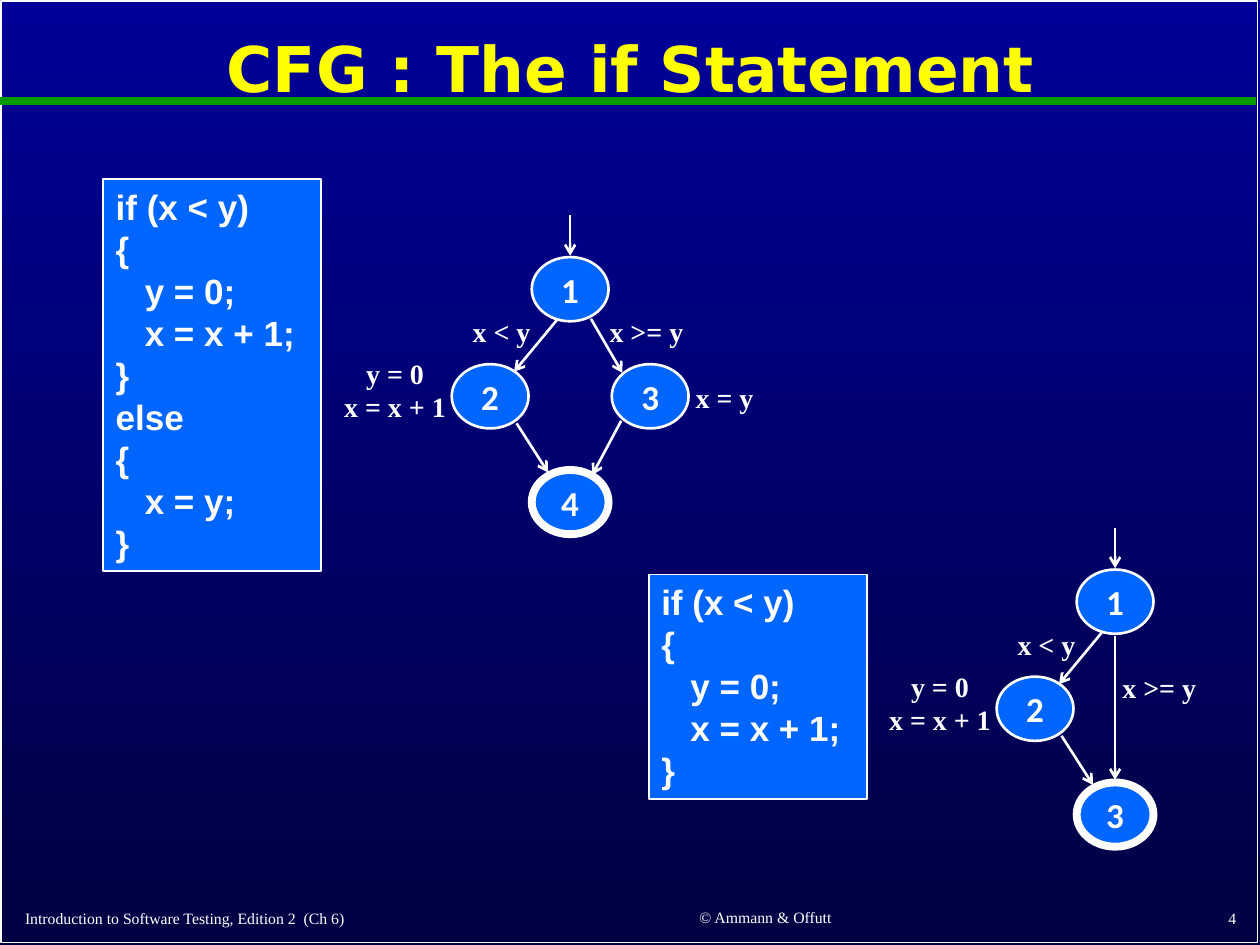
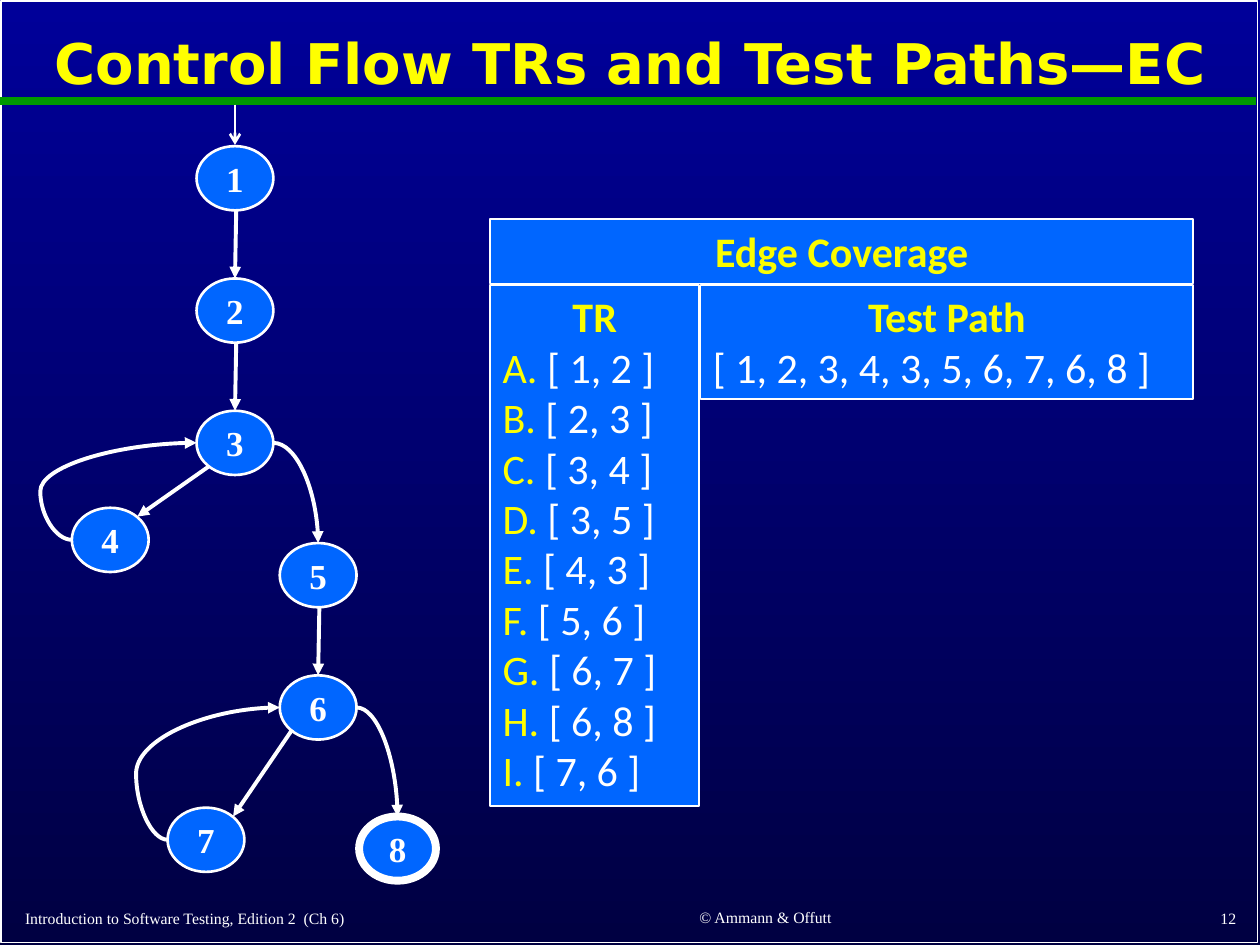
from dataclasses import dataclass
from lxml import etree
from pptx import Presentation
from pptx import util as u
from pptx.dml.color import RGBColor
from pptx.enum import shapes, text
from pptx.oxml.ns import qn

COLS, ROWS = 100, 75
CELL = u.Inches(10) / COLS
NODE_W, NODE_H = 6.1, 5.1
LEFT, CENTER, RIGHT = text.PP_ALIGN.LEFT, text.PP_ALIGN.CENTER, text.PP_ALIGN.RIGHT
TOP, MIDDLE = text.MSO_ANCHOR.TOP, text.MSO_ANCHOR.MIDDLE


@dataclass(frozen=True)
class Theme:
    sky: str = "000099"
    deep: str = "000042"
    band: str = "009900"
    fill: str = "0066FF"
    ink: str = "FFFFFF"
    title: str = "FFFF00"
    heading: str = "FAFD00"
    title_font: str = "DejaVu Sans"
    code_font: str = "Arial"
    body_font: str = "Calibri"
    serif: str = "Times New Roman"
    small: float = 9
    label: float = 16
    code: float = 20
    body: float = 24
    thin: float = 1
    edge: float = 1.5
    flow: float = 2.25
    heavy: float = 4.5


T = Theme()


def grid(*cells):
    return [u.Emu(round(c * CELL)) for c in cells]


def style(font, size, name, color, bold=False):
    for key, value in dict(size=u.Pt(size), name=name, bold=bold).items():
        setattr(font, key, value)
    font.color.rgb = RGBColor.from_string(color)


def write(sp, paragraphs, size, name, bold=False, align=LEFT, anchor=TOP, **spacing):
    """Fill a shape; a paragraph is a string or a list of (text, format changes)."""
    tf = sp.text_frame
    for key, value in dict(word_wrap=True, vertical_anchor=anchor,
                           auto_size=text.MSO_AUTO_SIZE.NONE).items():
        setattr(tf, key, value)
    for i, runs in enumerate(paragraphs):
        p = tf.paragraphs[0] if i == 0 else tf.add_paragraph()
        p.alignment = align
        for key, value in spacing.items():
            if i or key != "space_before":
                setattr(p, key, value)
        for words, changes in [(runs, {})] if isinstance(runs, str) else runs:
            r = p.add_run()
            r.text = words
            style(r.font, **{**dict(size=size, name=name, color=T.ink, bold=bold), **changes})
    return tf


def add_text(s, box, paragraphs, size, name, **fmt):
    return write(s.shapes.add_textbox(*grid(*box)), paragraphs, size, name, **fmt)


def add_panel(s, kind, box, line=T.thin, fill=T.fill):
    sp = s.shapes.add_shape(kind, *grid(*box))
    sp.shadow.inherit = False
    if fill:
        sp.fill.solid()
        sp.fill.fore_color.rgb = RGBColor.from_string(fill)
    else:
        sp.fill.background()
    sp.line.color.rgb = RGBColor.from_string(T.ink)
    sp.line.width = u.Pt(line)
    return sp


def add_node(s, center, name, font, final=False):
    x, y = center
    sp = add_panel(s, shapes.MSO_SHAPE.OVAL, (x - NODE_W / 2, y - NODE_H / 2, NODE_W, NODE_H),
                   T.heavy if final else T.edge)
    tf = write(sp, [name], T.code, font, bold=True, align=CENTER, anchor=MIDDLE)
    for side in ("left", "top", "right", "bottom"):
        setattr(tf, f"margin_{side}", 0)


def add_line(s, start, end, width=T.edge, head="arrow", color=T.ink,
             kind=shapes.MSO_CONNECTOR.STRAIGHT):
    c = s.shapes.add_connector(kind, *grid(*start, *end))
    c.line.color.rgb = RGBColor.from_string(color)
    c.line.width = u.Pt(width)
    if head:
        etree.SubElement(c.line._get_or_add_ln(), qn("a:tailEnd"), type=head)
    etree.SubElement(c.element.spPr, qn("a:effectLst"))
    return c


def add_flow(s, start, end, **fmt):
    return add_line(s, start, end, T.flow, "triangle", **fmt)


def add_side_curve(s, source, target):
    """Leave the right of one node and enter the top of a lower one."""
    c = add_flow(s, (source[0] + NODE_W / 2, source[1]), (target[0], target[1] - NODE_H / 2),
                 kind=shapes.MSO_CONNECTOR.CURVE)
    c.element.spPr.find(qn("a:prstGeom")).set("prst", "curvedConnector2")


def add_loop_back(s, source, target, bulge=2.5):
    """Leave the left of a node and return to the left of a higher one."""
    c = add_flow(s, (source[0] - NODE_W / 2, source[1]), (target[0] - NODE_W / 2, target[1]),
                 kind=shapes.MSO_CONNECTOR.CURVE)
    adjust = round(-100000 * bulge / (target[0] - source[0]))
    guides = c.element.spPr.find(qn("a:prstGeom")).get_or_add_avLst()
    etree.SubElement(guides, qn("a:gd"), name="adj1", fmla=f"val {adjust}")


def add_slide(prs, title, size, height, number):
    s = prs.slides.add_slide(prs.slide_layouts[5])
    add_panel(s, shapes.MSO_SHAPE.RECTANGLE, (0.1, 0.1, 99.7, 74.7), fill=None)
    add_line(s, (0, 8), (99.7, 8), T.heavy, None, T.band)
    sp = s.shapes.title
    sp.element.getparent().append(sp.element)
    sp.left, sp.top, sp.width, sp.height = grid(0.8, 1.1, 98.5, height)
    write(sp, [[(title, dict(color=T.title))]], size, T.title_font, bold=True,
          align=CENTER, anchor=MIDDLE, line_spacing=0.9)
    for x, y, w, h, words, align in (
            (1, 71.6, 41.1, 2.6, "Introduction to Software Testing, Edition 2  (Ch 6)", LEFT),
            (44.9, 71.5, 31.7, 2.6, "© Ammann & Offutt", CENTER),
            (78.3, 71.5, 20.8, 2.7, str(number), RIGHT)):
        add_text(s, (x, y, w, h), [words], T.small, T.serif, align=align, anchor=MIDDLE)
    return s


def add_code(s, box, lines):
    write(add_panel(s, shapes.MSO_SHAPE.RECTANGLE, box), lines, T.code, T.code_font, bold=True)


def add_if_graph(s, x, y, has_else):
    """Draw the flow graph of an if statement whose first node is centred at x, y."""
    def at(dx, dy):
        return x + dx, y + dy

    nodes = [(0, 0), (-6.35, 8.5), (0, 16.9)]
    edges = [((0, -5.85), (0, -2.65)), ((-1.05, 2.45), (-4.45, 6.55)),
             ((-4.25, 10.65), (-1.75, 14.55))]
    labels = [(-9.55, 1.55, "x < y")]
    if has_else:
        nodes.insert(2, (6.35, 8.5))
        edges += [((1.65, 2.35), (4.15, 6.65)), ((4.05, 10.45), (1.75, 14.75))]
        labels += [(1.95, 1.55, "x >= y"), (8.15, 6.75, "x = y")]
    else:
        edges.append(((0, 2.75), (0, 14.15)))
        labels.append((-0.6, 4.95, "x >= y"))
    for i, node in enumerate(nodes, 1):
        add_node(s, at(*node), str(i), T.body_font, final=i == len(nodes))
    for start, end in edges:
        add_line(s, at(*start), at(*end))
    fmt = dict(size=T.label, name=T.serif, bold=True, align=CENTER)
    for dx, dy, words in labels:
        add_text(s, (*at(dx, dy), 8.2, 3.7), [words], **fmt)
    add_text(s, (*at(-19.05, 6.05), 10.3, 5), ["y = 0", "x = x + 1"],
             line_spacing=0.5, space_before=u.Pt(9), **fmt)


def add_loop_graph(s):
    def level(k):
        return 14.15 + 10.5 * k

    main_x, exit_x = 18.65, 25.25
    nodes = {1: (main_x, level(0)), 2: (main_x, level(1)), 3: (main_x, level(2)),
             4: (8.75, 42.85), 5: (exit_x, level(3)), 6: (exit_x, level(4)),
             7: (16.35, level(5)), 8: (31.55, 67.35)}
    for n, center in nodes.items():
        add_node(s, center, str(n), T.serif, final=n == 8)
    add_line(s, (main_x, 8.3), (main_x, 11.5))
    for a, b in ((1, 2), (2, 3), (5, 6)):
        (x, y), (_, below) = nodes[a], nodes[b]
        add_flow(s, (x + 0.1, y + NODE_H / 2), (x, below - NODE_H / 2))
    add_flow(s, (16.6, 37), (10.9, 41))
    add_flow(s, (23.2, 57.9), (18.5, 64.8))
    for a, b in ((3, 5), (6, 8)):
        add_side_curve(s, nodes[a], nodes[b])
    for a, b in ((4, 3), (7, 6)):
        add_loop_back(s, nodes[a], nodes[b])


def add_coverage_panel(s, box, heading, rows=()):
    sp = add_panel(s, shapes.MSO_SHAPE.RECTANGLE, box)
    head = [(heading, dict(color=T.heading, bold=True))]
    tf = write(sp, [head, *rows], T.body, T.body_font)
    tf.paragraphs[0].alignment = CENTER


def main():
    prs = Presentation()
    prs.slide_width, prs.slide_height = grid(COLS, ROWS)
    fill = prs.slide_master.background.fill
    fill.gradient()
    fill.gradient_angle = 270
    for stop, color in zip(fill.gradient_stops, (T.sky, T.deep)):
        stop.color.rgb = RGBColor.from_string(color)

    s = add_slide(prs, "CFG : The if Statement", 36, 9.2, 4)
    if_part = ["if (x < y)", "{", "   y = 0;", "   x = x + 1;", "}"]
    add_code(s, (8.2, 14.2, 17.3, 31.1), if_part + ["else", "{", "   x = y;", "}"])
    add_if_graph(s, 45.25, 22.95, has_else=True)
    add_code(s, (51.5, 45.6, 17.3, 17.8), if_part)
    add_if_graph(s, 88.5, 47.75, has_else=False)

    s = add_slide(prs, "Control Flow TRs and Test Paths—EC", 32, 8.4, 12)
    add_loop_graph(s)
    pairs = ((1, 2), (2, 3), (3, 4), (3, 5), (4, 3), (5, 6), (6, 7), (6, 8), (7, 6))
    rows = [[(f"{letter}. ", dict(color=T.title)), (f"[ {a}, {b} ]", {})]
            for letter, (a, b) in zip("ABCDEFGHI", pairs)]
    add_coverage_panel(s, (38.9, 22.6, 16.6, 41.4), "TR", rows)
    add_coverage_panel(s, (55.6, 22.6, 39.1, 9.1), "Test Path",
                       ["[ 1, 2, 3, 4, 3, 5, 6, 7, 6, 8 ]"])
    add_coverage_panel(s, (38.9, 17.4, 55.8, 5.1), "Edge Coverage")

    prs.save("out.pptx")


if __name__ == "__main__":
    main()
